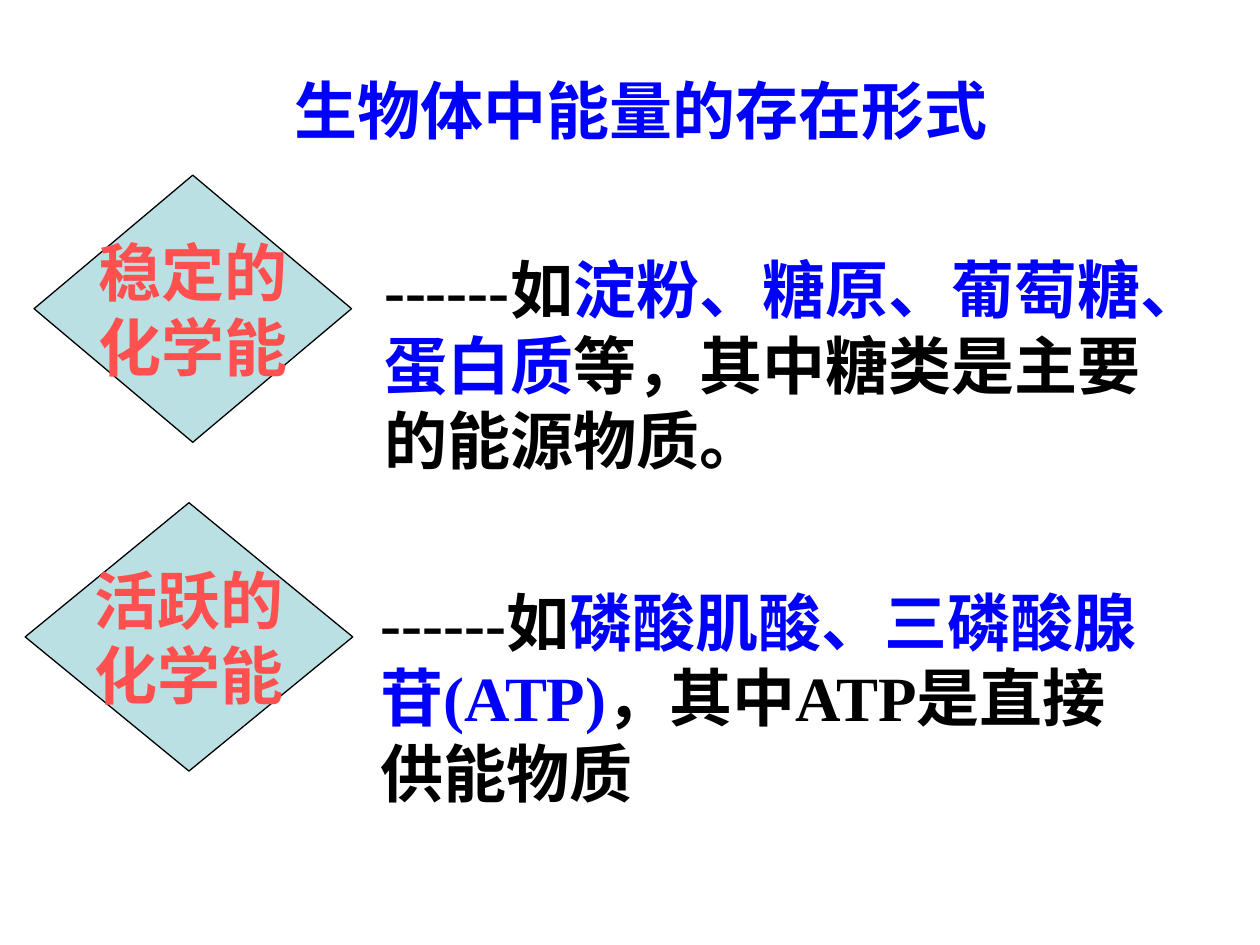
import pptx
import pptx.dml.color
import pptx.enum.shapes
import pptx.enum.text
import pptx.util

Inches = pptx.util.Inches
Align = pptx.enum.text.PP_ALIGN
Anchor = pptx.enum.text.MSO_ANCHOR

BLUE = "0000FF"
BLACK = "000000"
CORAL = "FF5050"
PALE_TEAL = "BBE0E3"


def color(value):
    return pptx.dml.color.RGBColor.from_string(value)


class SlideBuilder:
    font = {"name": "Times New Roman", "size": pptx.util.Pt(36), "bold": True}
    frame = {
        "word_wrap": True,
        "auto_size": pptx.enum.text.MSO_AUTO_SIZE.NONE,
        "vertical_anchor": Anchor.TOP,
    }

    def __init__(self, slide):
        self.slide = slide

    def fill_text(self, shape, paragraphs, align=Align.LEFT, **options):
        frame = shape.text_frame
        for name, value in {**self.frame, **options}.items():
            setattr(frame, name, value)
        for index, spans in enumerate(paragraphs):
            para = frame.add_paragraph() if index else frame.paragraphs[0]
            para.alignment = align
            para.space_before = pptx.util.Pt(0)
            for text, ink in spans:
                span = para.add_run()
                span.text = text
                for name, value in self.font.items():
                    setattr(span.font, name, value)
                span.font.color.rgb = color(ink)

    def title(self, text, left, top, width, height):
        title = self.slide.shapes.title
        bounds = {"left": left, "top": top, "width": width, "height": height}
        for name, value in bounds.items():
            setattr(title, name, Inches(value))
        self.fill_text(title, [[(text, BLUE)]])

    def diamond(self, lines, *bounds):
        diamond = self.slide.shapes.add_shape(
            pptx.enum.shapes.MSO_SHAPE.DIAMOND, *map(Inches, bounds)
        )
        diamond.shadow.inherit = False
        diamond.fill.solid()
        diamond.fill.fore_color.rgb = color(PALE_TEAL)
        diamond.line.color.rgb = color(BLACK)
        diamond.line.width = pptx.util.Pt(0.75)
        paragraphs = [[(line, CORAL)] for line in lines]
        self.fill_text(diamond, paragraphs, Align.CENTER,
                       word_wrap=False, vertical_anchor=Anchor.MIDDLE)

    def description(self, examples, remark, *bounds):
        box = self.slide.shapes.add_textbox(*map(Inches, bounds))
        spans = [("------如", BLACK), (examples, BLUE), (remark, BLACK)]
        self.fill_text(box, [spans])


def main():
    deck = pptx.Presentation()
    deck.slide_width = Inches(10)
    deck.slide_height = Inches(7.5)
    page = SlideBuilder(deck.slides.add_slide(deck.slide_layouts[5]))
    page.title("生物体中能量的存在形式", 2.24, 0.52, 6, 0.7)
    page.diamond(["稳定的", "化学能"], 0.27, 1.39, 2.52, 2.12)
    page.diamond(["活跃的", "化学能"], 0.2, 3.99, 2.6, 2.13)
    page.description("淀粉、糖原、葡萄糖、蛋白质", "等，其中糖类是主要的能源物质。",
                     2.95, 1.94, 6.58, 1.9)
    page.description("磷酸肌酸、三磷酸腺苷(ATP)", "，其中ATP是直接供能物质",
                     2.92, 4.58, 6.26, 1.9)
    deck.save("out.pptx")


if __name__ == "__main__":
    main()
